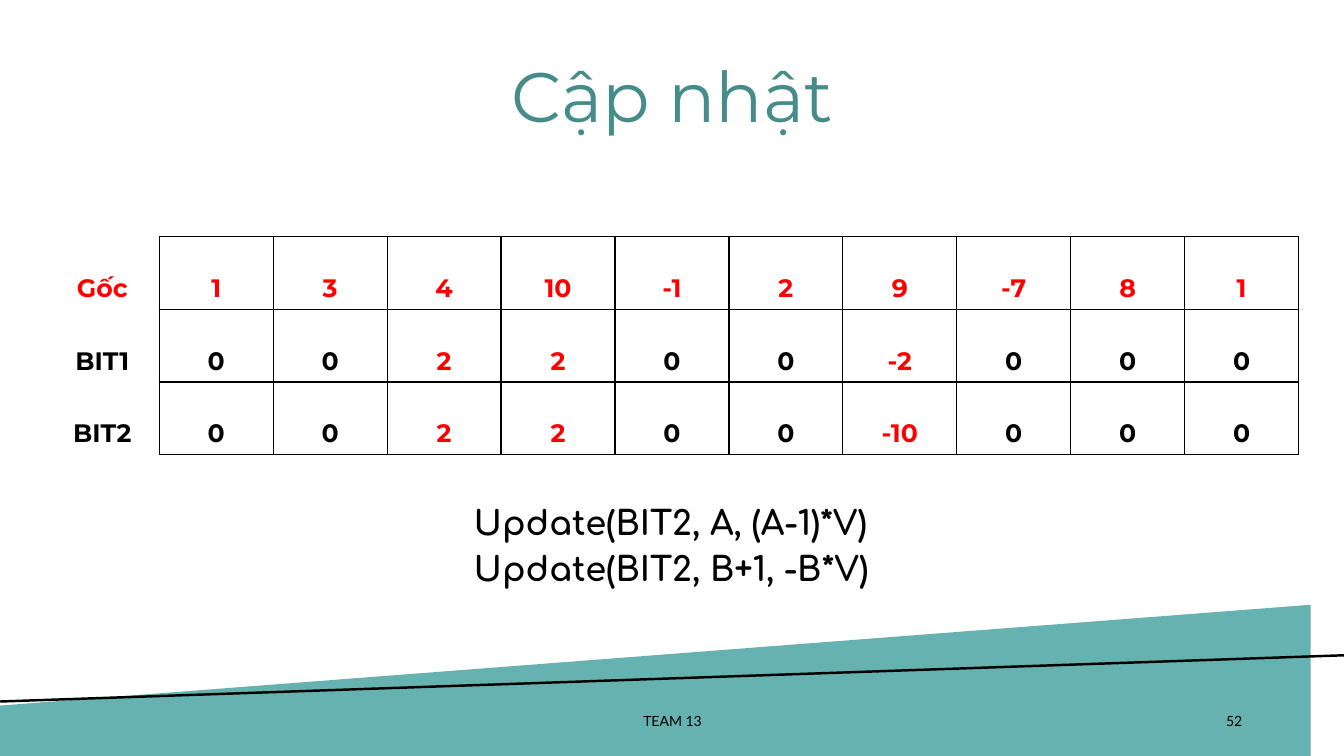
from dataclasses import dataclass

from lxml import etree
from pptx import Presentation
from pptx import util as u
from pptx.dml import color
from pptx.enum import shapes, text
from pptx.oxml import ns


@dataclass(frozen=True)
class Theme:
    ink: str = "000000"
    accent: str = "FF0000"
    title: str = "468C8A"
    band: str = "66B2B0"
    heading_font: str = "Montserrat"
    code_font: str = "Comfortaa"
    footer_font: str = "Lato"
    title_size: int = 50
    code_size: int = 24
    cell_size: int = 18
    footer_size: int = 10
    grid_width: float = 1
    edge_width: float = 1.75


THEME = Theme()
CENTER = text.PP_ALIGN.CENTER
MIDDLE = text.MSO_ANCHOR.MIDDLE

ARRAYS = {
    "Gốc": [1, 3, 4, 10, -1, 2, 9, -7, 8, 1],
    "BIT1": [0, 0, 2, 2, 0, 0, -2, 0, 0, 0],
    "BIT2": [0, 0, 2, 2, 0, 0, -10, 0, 0, 0],
}
UPDATES = ["Update(BIT2, A, (A-1)*V)", "Update(BIT2, B+1, -B*V)"]


def rgb(value):
    return color.RGBColor.from_string(value)


def write(paragraph, words, font, size, ink, bold=False, align=None, spacing=None):
    paragraph.alignment = align
    paragraph.line_spacing = spacing
    run = paragraph.add_run()
    run.text = words
    run.font.name = font
    run.font.size = u.Pt(size)
    run.font.bold = bold
    run.font.color.rgb = rgb(ink)


def add_frame(slide, box, anchor=MIDDLE, inset=0.05):
    frame = slide.shapes.add_textbox(*map(u.Inches, box)).text_frame
    frame.word_wrap = True
    frame.vertical_anchor = anchor
    frame.margin_left = frame.margin_right = u.Inches(0.1)
    frame.margin_top = frame.margin_bottom = u.Inches(inset)
    return frame


def set_borders(cell, visible):
    properties = cell._tc.get_or_add_tcPr()
    for side in "LRTB":
        line = etree.SubElement(properties, ns.qn(f"a:ln{side}"), w=str(u.Pt(THEME.grid_width)))
        if side in visible:
            fill = etree.SubElement(line, ns.qn("a:solidFill"))
            etree.SubElement(fill, ns.qn("a:srgbClr"), val=THEME.ink)
        else:
            etree.SubElement(line, ns.qn("a:noFill"))


def add_band(slide, box):
    left, top, width, height = box
    right, bottom = left + width, top + height
    slope_start = (left, top + 0.46)
    slope_end = (right, top)
    outline = slide.shapes.build_freeform(*slope_start, scale=u.Inches(1))
    outline.add_line_segments([slope_end, (right, bottom), (left, bottom)])
    band = outline.convert_to_shape()
    band.shadow.inherit = False
    band.fill.solid()
    band.fill.fore_color.rgb = rgb(THEME.band)
    band.line.fill.background()

    edge = slide.shapes.add_connector(
        shapes.MSO_CONNECTOR.STRAIGHT, *map(u.Inches, slope_end + slope_start))
    edge.line.color.rgb = rgb(THEME.ink)
    edge.line.width = u.Pt(THEME.edge_width)
    etree.SubElement(edge._element.spPr, ns.qn("a:effectLst"))


def add_footer(slide, box, team, number):
    left, top, width, height = box
    for words, offset, span, align in (
        (number, width - 3, 3, text.PP_ALIGN.RIGHT),
        (team, 0, 4.5, CENTER),
    ):
        frame = add_frame(slide, (left + offset, top, span, height))
        write(frame.paragraphs[0], words, THEME.footer_font, THEME.footer_size,
              THEME.ink, align=align)


def add_title(slide, box, words):
    write(add_frame(slide, box).paragraphs[0], words, THEME.heading_font,
          THEME.title_size, THEME.title, align=CENTER, spacing=0.9)


def add_arrays(slide, box, arrays):
    left, top, width, height = map(u.Inches, box)
    columns = 1 + max(map(len, arrays.values()))
    grid = slide.shapes.add_table(len(arrays), columns, left, top, width, height).table
    grid.first_row = grid.horz_banding = False
    for column in grid.columns:
        column.width = width // columns
    for row_index, (label, values) in enumerate(arrays.items()):
        grid.rows[row_index].height = height // len(arrays)
        for column_index, value in enumerate([label, *values]):
            is_label = column_index == 0
            highlighted = row_index == 0 if is_label else value != 0
            cell = grid.cell(row_index, column_index)
            cell.vertical_anchor = MIDDLE
            cell.margin_left = cell.margin_right = u.Inches(0.1 if is_label else 0.07)
            cell.margin_top = cell.margin_bottom = u.Inches(0.05 if is_label else 0)
            set_borders(cell, "R" if is_label else "LRTB")
            cell.fill.background()
            write(cell.text_frame.paragraphs[0], str(value), THEME.heading_font,
                  THEME.cell_size, THEME.accent if highlighted else THEME.ink,
                  bold=True, align=CENTER, spacing=2.0)


def add_updates(slide, box, calls):
    frame = add_frame(slide, box, text.MSO_ANCHOR.TOP, 0.1)
    for index, call in enumerate(calls):
        paragraph = frame.add_paragraph() if index else frame.paragraphs[0]
        write(paragraph, call, THEME.code_font, THEME.code_size, THEME.ink,
              bold=True, spacing=1.15 if index else None)


def main():
    deck = Presentation()
    deck.slide_width, deck.slide_height = u.Inches(13.33), u.Inches(7.5)
    slide = deck.slides.add_slide(deck.slide_layouts[6])
    add_band(slide, (-0.01, 6.5, 13.36, 1.03))
    add_footer(slide, (4.42, 6.95, 8, 0.4), "TEAM 13", "52")
    add_title(slide, (1.9, 0.48, 9.54, 1.03), "Cập nhật")
    add_arrays(slide, (0.45, 2.35, 12.43, 2.16), ARRAYS)
    add_updates(slide, (4.6, 4.88, 4.14, 1.47), UPDATES)
    deck.save("out.pptx")


if __name__ == "__main__":
    main()
